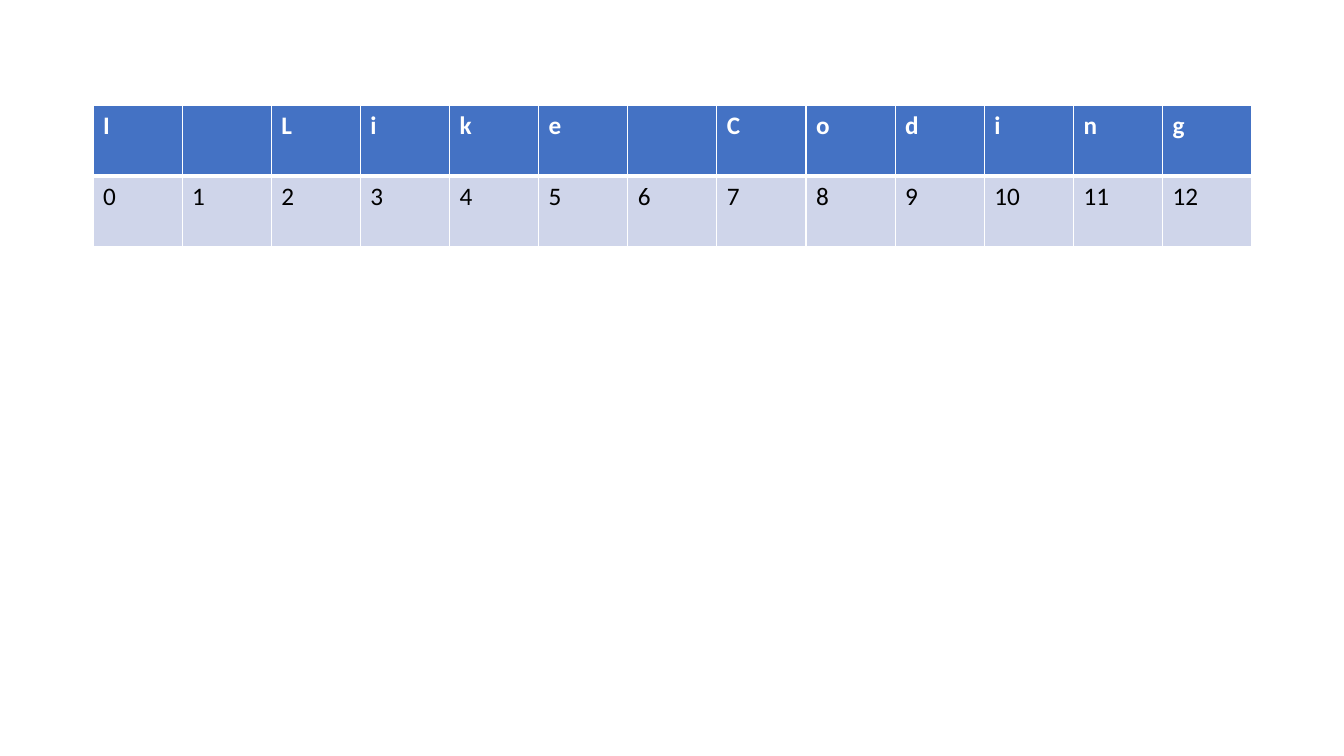
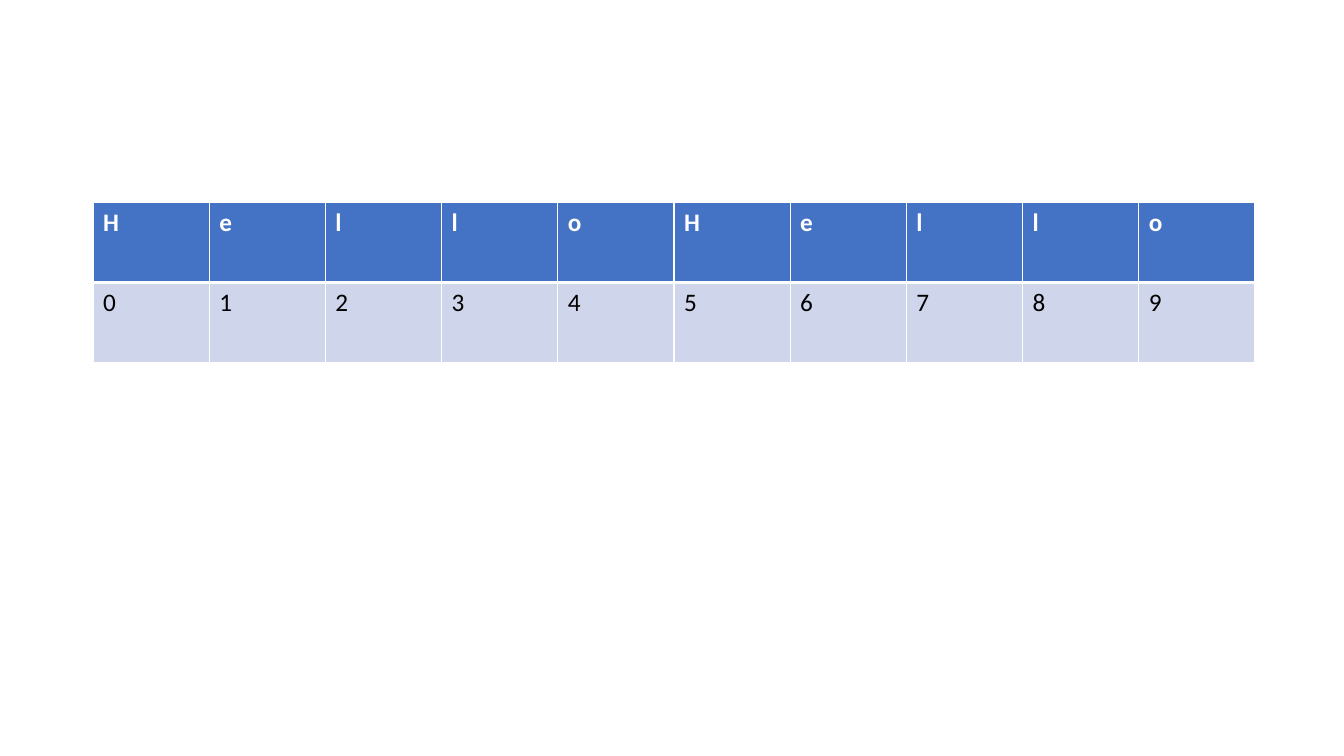
from lxml.etree import SubElement
from pptx import Presentation
from pptx.dml.color import RGBColor
from pptx.oxml import parse_xml
from pptx.oxml.ns import nsdecls, qn
from pptx.util import Pt

EMU_PER_PX = 914400 / 100.8
SLIDE_W, SLIDE_H = 1344, 756
LEFT = 93
FONT, SIZE = "Calibri", 18
WHITE, BLACK = "FFFFFF", "000000"
HEADER_FILL, BODY_FILL = "4472C4", "CFD5EA"
THIN, THICK = 1, 3


def px(n):
    """Turn pixels into EMU."""
    return round(n * EMU_PER_PX)


def rgb(value):
    """Turn a hex string into a colour."""
    return RGBColor.from_string(value)


def add_text(tf, text, color=BLACK, bold=False, size=SIZE, font=FONT):
    """Write one formatted run into a text frame."""
    r = tf.paragraphs[0].add_run()
    r.text = text
    r.font.name, r.font.size, r.font.bold = font, Pt(size), bold
    r.font.color.rgb = rgb(color)


def set_borders(cell, color=WHITE, top=THIN, bottom=THIN):
    """Draw the four cell borders, ahead of the fill as the schema requires."""
    widths = {"lnL": THIN, "lnR": THIN, "lnT": top, "lnB": bottom}
    tc_pr = cell._tc.get_or_add_tcPr()
    for i, (side, width) in enumerate(widths.items()):
        ln = parse_xml(f'<a:{side} {nsdecls("a")} w="{Pt(width)}"/>')
        fill = SubElement(ln, qn("a:solidFill"))
        SubElement(fill, qn("a:srgbClr"), val=color)
        tc_pr.insert(i, ln)


def style_cell(cell, text, fill, top=THIN, bottom=THIN, **text_format):
    """Fill, border and label one cell."""
    cell.fill.solid()
    cell.fill.fore_color.rgb = rgb(fill)
    set_borders(cell, top=top, bottom=bottom)
    if text.strip():
        add_text(cell.text_frame, text, **text_format)


def add_index_table(s, word, top, width, height):
    """Show each character of a word above its index."""
    n = len(word)
    table = s.shapes.add_table(2, n, px(LEFT), px(top),
                               px(width), px(height)).table
    for row in table.rows:
        row.height = px(height / 2)
    for i, char in enumerate(word):
        table.columns[i].width = px(width / n)
        style_cell(table.cell(0, i), char, HEADER_FILL, bottom=THICK,
                   color=WHITE, bold=True)
        style_cell(table.cell(1, i), str(i), BODY_FILL, top=THICK)


def main():
    """Build one slide per word."""
    prs = Presentation()
    prs.slide_width, prs.slide_height = px(SLIDE_W), px(SLIDE_H)
    for word, top, width, height in [("I Like Coding", 105, 1159, 142),
                                     ("HelloHello", 202, 1162, 161)]:
        s = prs.slides.add_slide(prs.slide_layouts[6])
        add_index_table(s, word, top, width, height)
    prs.save("out.pptx")


main()
